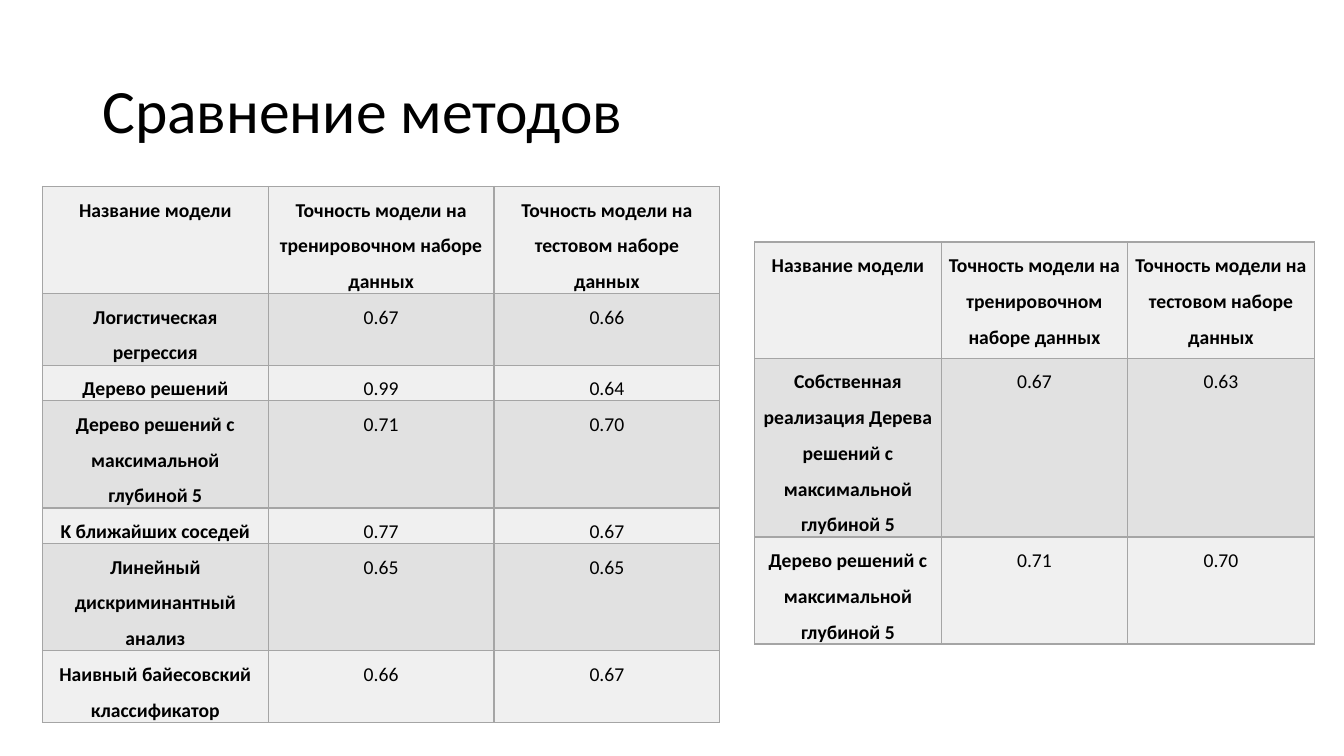
from dataclasses import dataclass

from lxml import etree
from pptx import Presentation
from pptx.dml.color import RGBColor
from pptx.enum.text import MSO_ANCHOR, PP_ALIGN
from pptx.oxml.ns import qn
from pptx.util import Cm, Pt

CENTER = PP_ALIGN.CENTER
MIDDLE = MSO_ANCHOR.MIDDLE


@dataclass(frozen=True)
class Theme:
    font: str = "Calibri"
    title_size: int = 44
    cell_size: int = 14
    text: str = "000000"
    light_row: str = "F0F0F0"
    dark_row: str = "E1E1E1"
    border: str = "A5A5A5"
    border_width: int = 1


THEME = Theme()

HEADER = (
    "Название модели",
    "Точность модели на тренировочном наборе данных",
    "Точность модели на тестовом наборе данных",
)
DEPTH_LIMITED_TREE = ("Дерево решений с максимальной глубиной 5", "0.71", "0.70")

LIBRARY_MODELS = [
    HEADER,
    ("Логистическая регрессия", "0.67", "0.66"),
    ("Дерево решений", "0.99", "0.64"),
    DEPTH_LIMITED_TREE,
    ("K ближайших соседей", "0.77", "0.67"),
    ("Линейный дискриминантный анализ", "0.65", "0.65"),
    ("Наивный байесовский классификатор", "0.66", "0.67"),
]
OWN_MODEL = [
    HEADER,
    ("Собственная реализация Дерева решений с максимальной глубиной 5", "0.67", "0.63"),
    DEPTH_LIMITED_TREE,
]

# Left, top, column width, row heights (all in cm), content
COMPARISONS = [
    (1.07, 4.7, 5.69, (2.7, 1.8, 0.9, 2.7, 0.9, 2.7, 1.8), LIBRARY_MODELS),
    (19.02, 6.1, 4.7, (2.93, 4.5, 2.7), OWN_MODEL),
]


def add_run(paragraph, text, size, bold=False):
    run = paragraph.add_run()
    run.text = text
    run.font.name = THEME.font
    run.font.size = Pt(size)
    run.font.bold = bold
    run.font.color.rgb = RGBColor.from_string(THEME.text)


def add_borders(cell):
    properties = cell._tc.get_or_add_tcPr()
    for side in ("lnL", "lnR", "lnT", "lnB"):
        line = etree.SubElement(
            properties, qn(f"a:{side}"), w=str(Pt(THEME.border_width))
        )
        fill = etree.SubElement(line, qn("a:solidFill"))
        etree.SubElement(fill, qn("a:srgbClr"), val=THEME.border)


presentation = Presentation()
presentation.slide_width = Cm(33.87)
presentation.slide_height = Cm(19.05)
slide = presentation.slides.add_slide(presentation.slide_layouts[6])

title = slide.shapes.add_textbox(Cm(2.33), Cm(1.01), Cm(29.21), Cm(3.68)).text_frame
title.word_wrap = True
title.vertical_anchor = MIDDLE
title.paragraphs[0].line_spacing = 0.9
add_run(title.paragraphs[0], "Сравнение методов", THEME.title_size)

for left, top, column_width, row_heights, models in COMPARISONS:
    comparison = slide.shapes.add_table(
        len(models), len(HEADER), Cm(left), Cm(top),
        Cm(column_width * len(HEADER)), Cm(sum(row_heights)),
    ).table
    for column in comparison.columns:
        column.width = Cm(column_width)
    for row_index, (height, values) in enumerate(zip(row_heights, models)):
        comparison.rows[row_index].height = Cm(height)
        row_color = THEME.dark_row if row_index % 2 else THEME.light_row
        for column_index, value in enumerate(values):
            cell = comparison.cell(row_index, column_index)
            cell.margin_left = cell.margin_right = Cm(0.19)
            cell.margin_top = cell.margin_bottom = Cm(0)
            add_borders(cell)
            cell.fill.solid()
            cell.fill.fore_color.rgb = RGBColor.from_string(row_color)
            paragraph = cell.text_frame.paragraphs[0]
            paragraph.alignment = CENTER
            paragraph.line_spacing = 1.5
            is_heading = row_index == 0 or column_index == 0
            add_run(paragraph, value, THEME.cell_size, bold=is_heading)

presentation.save("out.pptx")
